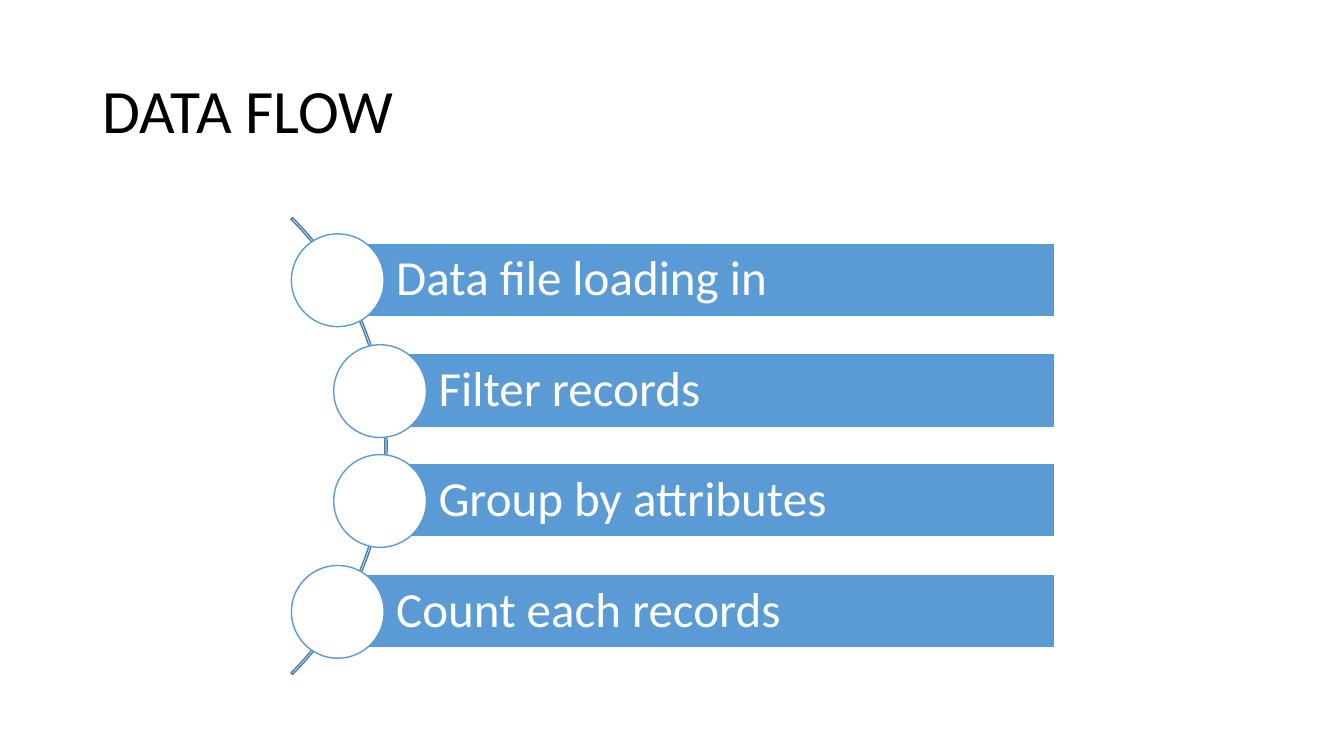
from pptx import Presentation
from pptx.dml.color import RGBColor
from pptx.enum.shapes import MSO_SHAPE as SHAPE
from pptx.enum.text import MSO_ANCHOR as ANCHOR, PP_ALIGN as ALIGN
from pptx.util import Emu, Pt

PX = 9144
BLACK = RGBColor(0x00, 0x00, 0x00)
WHITE = RGBColor(0xFF, 0xFF, 0xFF)
BLUE = RGBColor(0x5B, 0x9B, 0xD5)
ARC_BLUE = RGBColor(0x49, 0x7C, 0xAB)

STEPS = [
    ("Data file loading in", 335),
    ("Filter records", 377),
    ("Group by attributes", 377),
    ("Count each records", 335),
]
BAR_RIGHT, BAR_TOP, BAR_H = 1046, 241, 73
PITCH = 329 / 3
DOT = 92


def add_shape(kind, left, top, width, height, fill, line):
    sp = slide.shapes.add_shape(kind, *[Emu(v * PX) for v in (left, top, width, height)])
    sp.shadow.inherit = False
    if fill is None:
        sp.fill.background()
    else:
        sp.fill.solid()
        sp.fill.fore_color.rgb = fill
    sp.line.color.rgb = line
    sp.line.width = Pt(1)
    return sp


def set_text(sp, text, size, color, margins):
    tf = sp.text_frame
    frame_format = {"word_wrap": True, "vertical_anchor": ANCHOR.MIDDLE}
    for side, value in margins.items():
        frame_format["margin_" + side] = Emu(value * PX)
    for name, value in frame_format.items():
        setattr(tf, name, value)
    p = tf.paragraphs[0]
    p.alignment = ALIGN.LEFT
    p.line_spacing = 0.9
    r = p.add_run()
    r.text = text
    for name, value in {"name": "Calibri", "size": Pt(size)}.items():
        setattr(r.font, name, value)
    r.font.color.rgb = color


prs = Presentation()
prs.slide_width, prs.slide_height = Emu(1333 * PX), Emu(750 * PX)
slide = prs.slides.add_slide(prs.slide_layouts[5])

title = slide.shapes.title
for name, value in {"left": 92, "top": 40, "width": 1150, "height": 145}.items():
    setattr(title, name, Emu(value * PX))
set_text(title, "DATA FLOW", 44, BLACK, {"left": 10, "right": 10, "top": 5, "bottom": 5})

arc = add_shape(SHAPE.BLOCK_ARC, -257, 122, 641, 641, None, ARC_BLUE)
for i, value in enumerate((189, 27, 0.0034)):
    arc.adjustments[i] = value

for i, (text, left) in enumerate(STEPS):
    top = round(BAR_TOP + i * PITCH)
    bar = add_shape(SHAPE.RECTANGLE, left, top, BAR_RIGHT - left, BAR_H, BLUE, WHITE)
    set_text(bar, text, 35, WHITE, {"left": 58, "right": 10, "top": 10, "bottom": 10})
    add_shape(SHAPE.OVAL, left - DOT // 2, top - 9, DOT, DOT, WHITE, BLUE)

prs.save("out.pptx")
